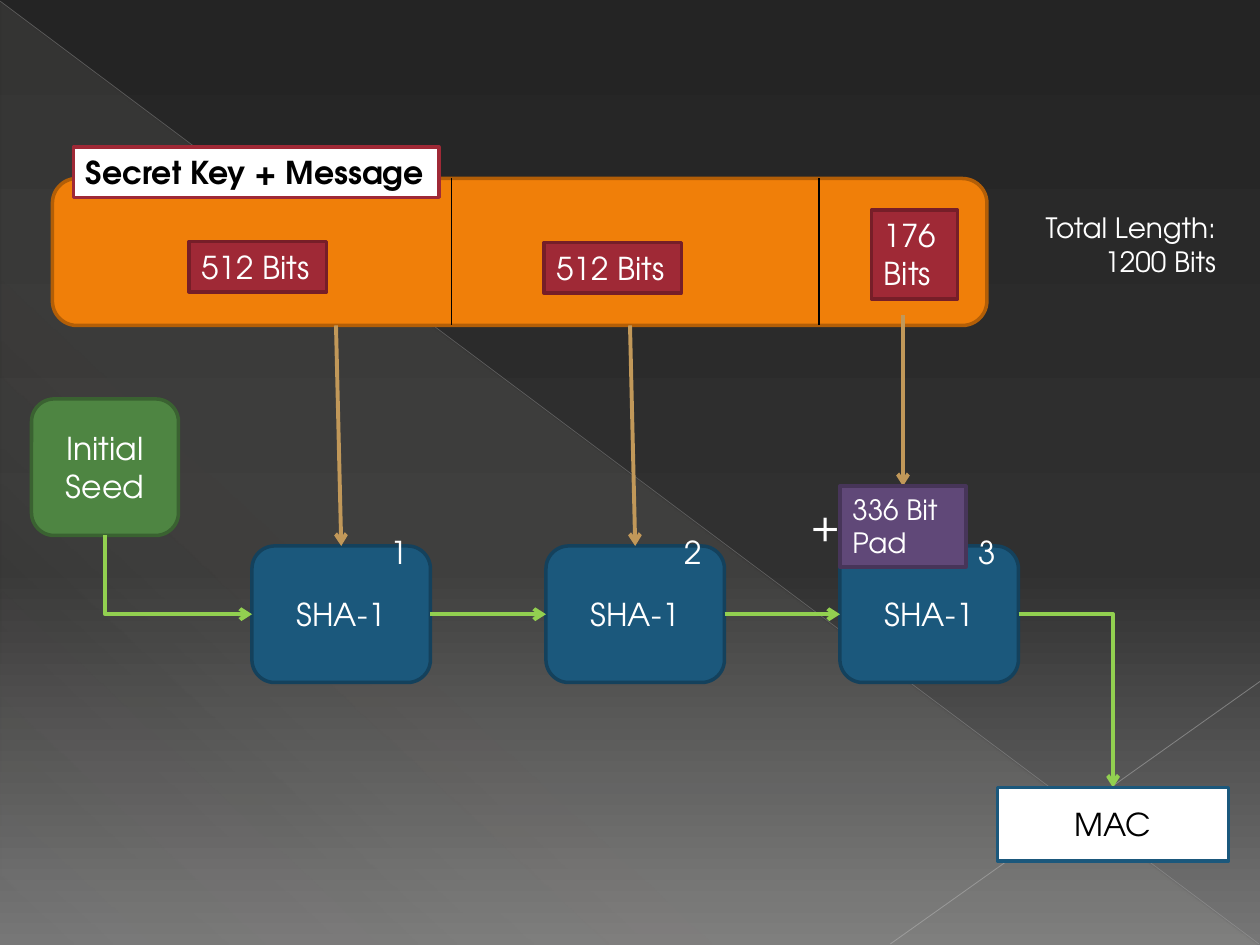
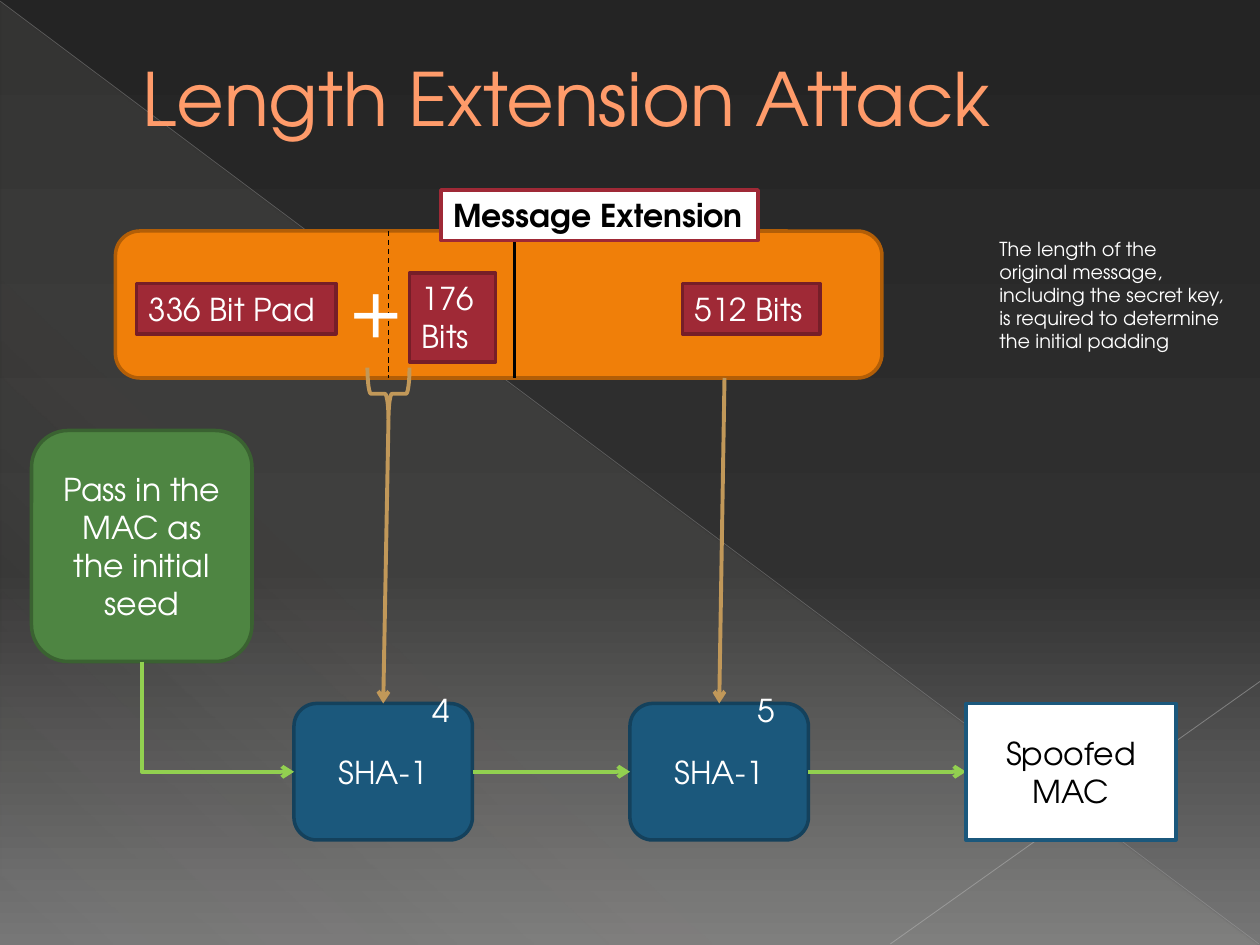
from lxml import etree
from pptx import Presentation
from pptx.dml.color import RGBColor
from pptx.enum.dml import MSO_LINE
from pptx.enum.shapes import MSO_CONNECTOR, MSO_SHAPE
from pptx.enum.text import MSO_ANCHOR, MSO_AUTO_SIZE, PP_ALIGN
from pptx.oxml.ns import qn
from pptx.util import Inches, Pt

STRAIGHT, ELBOW = MSO_CONNECTOR.STRAIGHT, MSO_CONNECTOR.ELBOW
RECTANGLE, ROUNDED = MSO_SHAPE.RECTANGLE, MSO_SHAPE.ROUNDED_RECTANGLE
TRIANGLE, BRACE = MSO_SHAPE.RIGHT_TRIANGLE, MSO_SHAPE.LEFT_BRACE
TOP, MIDDLE = MSO_ANCHOR.TOP, MSO_ANCHOR.MIDDLE
LEFT, CENTER, RIGHT = PP_ALIGN.LEFT, PP_ALIGN.CENTER, PP_ALIGN.RIGHT
DASH = MSO_LINE.DASH
FIT, NO_FIT = MSO_AUTO_SIZE.SHAPE_TO_FIT_TEXT, MSO_AUTO_SIZE.NONE

WHITE, BLACK = RGBColor(255, 255, 255), RGBColor(0, 0, 0)
ORANGE, DARK_ORANGE = RGBColor(0xF0, 0x7F, 0x09), RGBColor(0xB2, 0x5E, 0x07)
RED, DARK_RED = RGBColor(0x9F, 0x29, 0x36), RGBColor(0x76, 0x1E, 0x28)
GREEN, DARK_GREEN = RGBColor(0x4E, 0x85, 0x42), RGBColor(0x3A, 0x62, 0x31)
BLUE, DARK_BLUE = RGBColor(0x1B, 0x58, 0x7C), RGBColor(0x14, 0x41, 0x5C)
PURPLE, DARK_PURPLE = RGBColor(0x60, 0x48, 0x78), RGBColor(0x47, 0x35, 0x59)
TAN, LIME = RGBColor(0xC1, 0x98, 0x59), RGBColor(0x92, 0xD0, 0x50)
TITLE_COLOR, TITLE_EDGE = RGBColor(0xFF, 0x9B, 0x6A), RGBColor(0xA6, 0x58, 0x06)
CREAM = RGBColor(0xE3, 0xDE, 0xD1)
GRAY, LIGHT_GRAY = RGBColor(0xB6, 0xB6, 0xB6), RGBColor(0xBF, 0xBF, 0xBF)
NIGHT, COAL, ASH = (RGBColor(v, v, v) for v in (0x24, 0x30, 0x76))

FONT = "TeX Gyre Adventor"
COLUMNS, ROWS = 120, 90
SLIDE_WIDTH, SLIDE_HEIGHT = Inches(10), Inches(7.5)
BLOCK_WIDTH, BLOCK_HEIGHT = 17, 13
LABEL_HEIGHT = 4.8

# Positions are in columns and rows: boxes are left, top, width, height.
DIAGRAMS = [
    dict(
        title=None,
        bar=(5, 17, 89, 14),
        dividers=[(43, 0.75, None), (78, 0.75, None)],
        heading=("Secret Key + Message", (7, 14, 34.8, LABEL_HEIGHT)),
        labels=[("512 Bits", (18, 23, 13.1, LABEL_HEIGHT), False),
                ("512 Bits", (51.8, 23.1, 13.1, LABEL_HEIGHT), False),
                ("176 Bits", (83, 20, 8.2, 8.5), True)],
        note=("Total Length: 1200 Bits", (93, 19.5, 24, 7.7), 16, RIGHT),
        seed=("Initial Seed", (3, 38, 14, 13)),
        blocks=dict(left=24, top=52, pitch=28,
                    numbers=[("1", 12), ("2", 12), ("3", 12)]),
        feeds=[((32, 31), (32.5, 52)), ((60, 31), (60.5, 52)),
               ((86, 30), (86, 46.3))],
        pad=("336 Bit Pad", (80, 46.3, 12, 7.7)),
        plus=((76, 46.9, 4.9, 6), 24),
        brace=None,
        result=("MAC", (95, 75, 22, 7)),
    ),
    dict(
        title="Length Extension Attack",
        bar=(11, 22, 73, 14),
        dividers=[(49, 1.5, None), (37, 0.75, DASH)],
        heading=("Message Extension", (42, 18.1, 30.2, LABEL_HEIGHT)),
        labels=[("512 Bits", (65, 27, 13.1, LABEL_HEIGHT), False),
                ("176 Bits", (39, 26, 8.2, 8.5), True),
                ("336 Bit Pad", (13, 27, 19, LABEL_HEIGHT), True)],
        note=("The length of the original message, including the secret key, "
              "is required to determine the initial padding",
              (94, 22, 24, 14.5), 11, LEFT),
        seed=("Pass in the MAC as the initial seed", (3, 41, 21, 22)),
        blocks=dict(left=28, top=67, pitch=32, numbers=[("4", 12), ("5", 11)]),
        feeds=[((37, 40), (36.5, 67)), ((69, 36), (68.5, 67))],
        pad=None,
        plus=((32, 24, 7, 10.1), 44),
        brace=(34.5, 35.5, 5, 4),
        result=("Spoofed MAC", (92, 67, 20, 13)),
    ),
]


def across(columns):
    """Turn columns into a length."""
    return round(SLIDE_WIDTH * columns / COLUMNS)


def down(rows):
    """Turn rows into a length."""
    return round(SLIDE_HEIGHT * rows / ROWS)


def place(box):
    """Turn a grid box into left, top, width and height."""
    left, top, width, height = box
    return across(left), down(top), across(width), down(height)


def add_color(parent, color, opacity=100):
    """Append a colour element, transparent when opacity is below 100."""
    element = etree.SubElement(parent, qn("a:srgbClr"), val=str(color))
    if opacity < 100:
        etree.SubElement(element, qn("a:alpha"), val=str(opacity * 1000))


def set_gradient(fill, stops, angle):
    """Give a fill a linear gradient of (position, colour, opacity) stops."""
    fill.gradient()
    fill.gradient_angle = 360 - angle
    stop_list = fill._fill._gradFill.find(qn("a:gsLst"))
    for old_stop in list(stop_list):
        stop_list.remove(old_stop)
    for position, color, opacity in stops:
        stop = etree.SubElement(stop_list, qn("a:gs"), pos=str(position * 1000))
        add_color(stop, color, opacity)


def write(shape, text, size=18, color=WHITE, bold=False, align=LEFT,
          anchor=TOP, wrap=True, fit=False):
    """Put formatted text into a shape and return its run."""
    frame = shape.text_frame
    frame.word_wrap = wrap
    frame.auto_size = FIT if fit else NO_FIT
    frame.vertical_anchor = anchor
    paragraph = frame.paragraphs[0]
    paragraph.alignment = align
    run = paragraph.add_run()
    run.text = text
    run.font.name, run.font.size, run.font.bold = FONT, Pt(size), bold
    run.font.color.rgb = color
    return run


def add_box(slide, box, fill, edge, text=None, kind=RECTANGLE, **text_format):
    """Add a filled, outlined shape with optional text."""
    shape = slide.shapes.add_shape(kind, *place(box))
    shape.shadow.inherit = False
    shape.fill.solid()
    shape.fill.fore_color.rgb = fill
    shape.line.color.rgb = edge
    shape.line.width = Pt(2)
    if text:
        write(shape, text, **text_format)
    return shape


def add_text(slide, box, text, **text_format):
    """Add a text box that fits its text."""
    write(slide.shapes.add_textbox(*place(box)), text, fit=True, **text_format)


def add_line(slide, start, end, color, width=2.25, arrow=False, dash=None,
             opacity=100, bend=None):
    """Add a line; bend is None, "across" or "down" for its first leg."""
    (x1, y1), (x2, y2) = [(across(x), down(y)) for x, y in (start, end)]
    line = slide.shapes.add_connector(ELBOW if bend else STRAIGHT, x1, y1, x2, y2)
    line.line.color.rgb = color
    line.line.width = Pt(width)
    if dash:
        line.line.dash_style = dash
    properties = line._element.spPr
    outline = properties.find(qn("a:ln"))
    if opacity < 100:
        solid = outline.find(qn("a:solidFill"))
        solid.remove(solid[0])
        add_color(solid, color, opacity)
    if arrow:
        etree.SubElement(outline, qn("a:tailEnd"), type="arrow")
    if bend:
        properties.find(qn("a:prstGeom")).set("prst", "bentConnector2")
    if bend == "down":
        width, height = x2 - x1, y2 - y1
        line.left, line.top = x1 + (width - height) // 2, y1 + (height - width) // 2
        line.width, line.height = height, width
        transform = properties.find(qn("a:xfrm"))
        transform.set("rot", str(270 * 60000))
        transform.set("flipH", "1")
    etree.SubElement(properties, qn("a:effectLst"))
    return line


def dress_master(presentation, slide):
    """Put the shared background on the master, drawing its parts on a slide."""
    master = presentation.slide_master
    set_gradient(master.background.fill,
                 [(0, NIGHT, 100), (60, COAL, 100), (100, ASH, 100)], 90)
    triangle = add_box(slide, (0.1, 0.2, 119.8, 89.8), CREAM, CREAM, kind=TRIANGLE)
    set_gradient(triangle.fill, [(0, CREAM, 10), (70, CREAM, 8), (100, CREAM, 1)], 133)
    triangle.line.fill.background()
    parts = [triangle,
             add_line(slide, (0, 0.1), (119.9, 89.9), GRAY, 0.39, opacity=35),
             add_line(slide, (120, 64.9), (84.8, 89.9), LIGHT_GRAY, 0.47, opacity=45)]
    for index, part in enumerate(parts):
        master.shapes._spTree.insert(2 + index, part._element)


def set_title(slide, text):
    """Move and format the title placeholder."""
    title = slide.shapes.title
    title.left, title.top, title.width, title.height = place((6, 0, 108, 18.4))
    run = write(title, text, size=42, color=TITLE_COLOR, anchor=MIDDLE)
    paragraph_properties = title.text_frame.paragraphs[0]._p.get_or_add_pPr()
    paragraph_properties.set("marL", str(Inches(0.53)))
    paragraph_properties.set("indent", "0")
    outline = etree.Element(qn("a:ln"), w=str(Pt(0.5)))
    add_color(etree.SubElement(outline, qn("a:solidFill")), TITLE_EDGE)
    run.font._rPr.insert(0, outline)


def draw_message(slide, diagram):
    """Draw the message bar with its dividers, labels and note."""
    bar = diagram["bar"]
    add_box(slide, bar, ORANGE, DARK_ORANGE, kind=ROUNDED)
    for x, width, dash in diagram["dividers"]:
        add_line(slide, (x, bar[1]), (x, bar[1] + bar[3]), BLACK, width, dash=dash)
    heading, box = diagram["heading"]
    add_box(slide, box, WHITE, RED, heading, color=BLACK, bold=True, wrap=False, fit=True)
    for text, box, wrap in diagram["labels"]:
        add_box(slide, box, RED, DARK_RED, text, wrap=wrap, fit=True)
    note, box, size, align = diagram["note"]
    add_text(slide, box, note, size=size, align=align)


def draw_chain(slide, diagram):
    """Draw the hash chain from the seed through the blocks to the result."""
    centered = dict(align=CENTER, anchor=MIDDLE)
    seed, seed_box = diagram["seed"]
    result, result_box = diagram["result"]
    blocks = diagram["blocks"]
    top, numbers = blocks["top"], blocks["numbers"]
    middle = top + BLOCK_HEIGHT / 2
    lefts = [blocks["left"] + blocks["pitch"] * i for i in range(len(numbers))]

    add_box(slide, seed_box, GREEN, DARK_GREEN, seed, kind=ROUNDED, **centered)
    for left in lefts:
        add_box(slide, (left, top, BLOCK_WIDTH, BLOCK_HEIGHT), BLUE, DARK_BLUE,
                "SHA-1", kind=ROUNDED, **centered)
    for start, end in diagram["feeds"]:
        add_line(slide, start, end, TAN, arrow=True)
    for left, (number, offset) in zip(lefts, numbers):
        add_text(slide, (left + offset, top - 1.8, 4.1, LABEL_HEIGHT), number, wrap=False)
    if diagram["pad"]:
        pad, box = diagram["pad"]
        add_box(slide, box, PURPLE, DARK_PURPLE, pad, size=16, fit=True)

    seed_exit = (seed_box[0] + seed_box[2] / 2, seed_box[1] + seed_box[3])
    add_line(slide, seed_exit, (lefts[0], middle), LIME, arrow=True, bend="down")
    for left, following in zip(lefts, lefts[1:]):
        add_line(slide, (left + BLOCK_WIDTH, middle), (following, middle), LIME, arrow=True)
    chain_exit = (lefts[-1] + BLOCK_WIDTH, middle)
    if result_box[1] > middle:
        entry, bend = (result_box[0] + result_box[2] / 2, result_box[1]), "across"
    else:
        entry, bend = (result_box[0], middle), None
    add_line(slide, chain_exit, entry, LIME, arrow=True, bend=bend)
    add_box(slide, result_box, WHITE, BLUE, result, color=BLACK, **centered)


def draw_joining(slide, diagram):
    """Draw the plus sign and the brace under the joined parts."""
    box, size = diagram["plus"]
    add_text(slide, box, "+", size=size, wrap=False)
    if diagram["brace"]:
        brace = add_box(slide, diagram["brace"], TAN, TAN, kind=BRACE)
        brace.fill.background()
        brace.line.width = Pt(2.25)
        brace.rotation = 270


def main():
    """Build and save the presentation."""
    presentation = Presentation()
    presentation.slide_width, presentation.slide_height = SLIDE_WIDTH, SLIDE_HEIGHT
    title_only, blank = presentation.slide_layouts[5], presentation.slide_layouts[6]
    for index, diagram in enumerate(DIAGRAMS):
        slide = presentation.slides.add_slide(title_only if diagram["title"] else blank)
        if index == 0:
            dress_master(presentation, slide)
        if diagram["title"]:
            set_title(slide, diagram["title"])
        draw_message(slide, diagram)
        draw_chain(slide, diagram)
        draw_joining(slide, diagram)
    presentation.save("out.pptx")


main()
